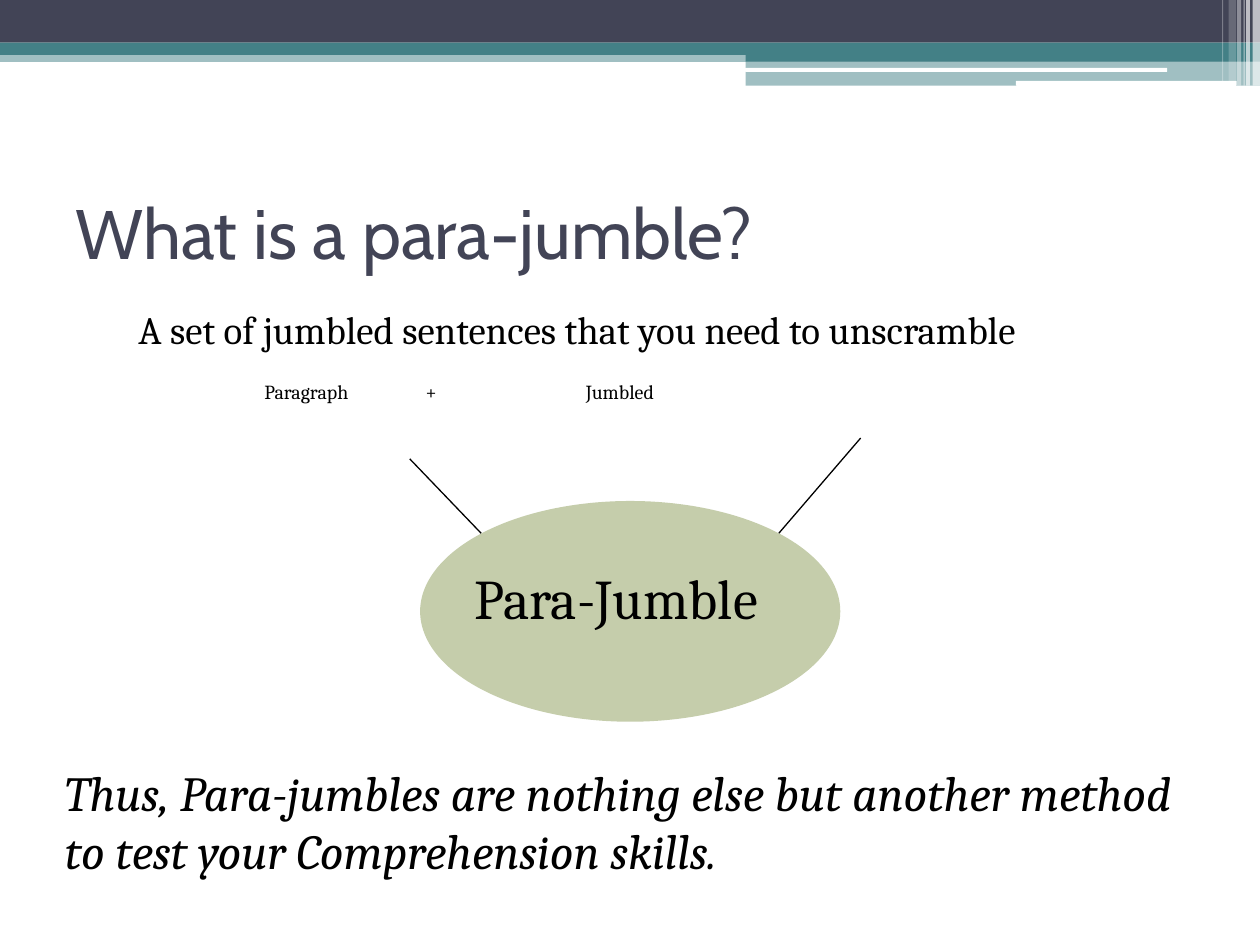
from typing import NamedTuple

from lxml import etree
from pptx import Presentation, util as u
from pptx.dml.color import RGBColor
from pptx.enum import shapes, text
from pptx.oxml import ns

NAVY, TEAL, WHITE, BLACK, SAGE = "424456", "438086", "FFFFFF", "000000", "C5CDAB"
RECTANGLE = shapes.MSO_SHAPE.RECTANGLE
ROUNDED = shapes.MSO_SHAPE.ROUNDED_RECTANGLE
OVAL = shapes.MSO_SHAPE.OVAL


class Block(NamedTuple):
    """A filled shape; lengths in centimetres, opacity in percent."""
    left: float
    top: float
    width: float
    height: float
    fill: str
    opacity: int = 100
    kind: shapes.MSO_SHAPE = RECTANGLE


class Stripe(NamedTuple):
    """A pale vertical stripe hanging from the top edge."""
    left: float
    width: float
    height: float
    opacity: int


class Spoke(NamedTuple):
    """A straight line from a word to the ellipse."""
    start_x: float
    start_y: float
    end_x: float
    end_y: float


HEADER = [
    Block(0, 1.02, 25.4, 0.23, TEAL, 50),
    Block(0, 0, 25.4, 0.86, NAVY),
    Block(0, 0.86, 25.4, 0.25, TEAL),
    Block(15.03, 0.99, 10.37, 0.25, TEAL),
    Block(15.03, 1.23, 10.37, 0.5, TEAL, 50),
    Block(15.02, 1.37, 8.51, 0.08, WHITE, kind=ROUNDED),
    Block(20.48, 1.63, 4.45, 0.1, WHITE, kind=ROUNDED),
]
STRIPES = [
    Stripe(25.25, 0.15, 1.73, 65),
    Stripe(25.12, 0.08, 1.73, 65),
    Stripe(25.07, 0.02, 1.73, 60),
    Stripe(24.94, 0.08, 1.73, 40),
    Stripe(24.77, 0.15, 1.63, 20),
    Stripe(24.64, 0.02, 1.63, 30),
]
ELLIPSE = Block(8.47, 10.1, 8.47, 4.45, SAGE, kind=OVAL)
SPOKES = [Spoke(8.26, 9.25, 9.7, 10.75), Spoke(17.35, 8.83, 15.7, 10.75)]


def color(hex_value: str) -> RGBColor:
    return RGBColor.from_string(hex_value)


def add_block(slide, block: Block) -> None:
    shape = slide.shapes.add_shape(
        block.kind, u.Cm(block.left), u.Cm(block.top), u.Cm(block.width), u.Cm(block.height))
    shape.shadow.inherit = False
    shape.line.fill.background()
    shape.fill.solid()
    shape.fill.fore_color.rgb = color(block.fill)
    if block.opacity < 100:
        fill_color = shape.fill._xPr.find(".//" + ns.qn("a:srgbClr"))
        etree.SubElement(fill_color, ns.qn("a:alpha"), val=str(block.opacity * 1000))


def add_spoke(slide, spoke: Spoke) -> None:
    line = slide.shapes.add_connector(
        shapes.MSO_CONNECTOR.STRAIGHT, *(u.Cm(length) for length in spoke))
    line.line.color.rgb = color(BLACK)
    line.line.width = u.Pt(0.75)
    etree.SubElement(line._element.spPr, ns.qn("a:effectLst"))


def add_text(slide, content: str, left: float, top: float, width: float, height: float, *,
             size: float, font: str = "Cambria", fill: str = BLACK, italic: bool = False,
             spacing: float = 1.0, anchor=text.MSO_ANCHOR.TOP,
             tab_stops: tuple[float, ...] = ()) -> None:
    box = slide.shapes.add_textbox(u.Cm(left), u.Cm(top), u.Cm(width), u.Cm(height))
    frame = box.text_frame
    frame.word_wrap = True
    frame.vertical_anchor = anchor
    paragraph = frame.paragraphs[0]
    paragraph.line_spacing = spacing
    if tab_stops:
        tab_list = etree.SubElement(paragraph._p.get_or_add_pPr(), ns.qn("a:tabLst"))
        for position in tab_stops:
            etree.SubElement(tab_list, ns.qn("a:tab"), pos=str(u.Cm(position)), algn="l")
    run = paragraph.add_run()
    run.text = content
    run.font.name = font
    run.font.size = u.Pt(size)
    run.font.italic = italic
    run.font.color.rgb = color(fill)


def main() -> None:
    presentation = Presentation()
    presentation.slide_width, presentation.slide_height = u.Cm(25.4), u.Cm(19.05)
    slide = presentation.slides.add_slide(presentation.slide_layouts[6])

    # Header bands and the stripes at their right end
    for block in HEADER:
        add_block(slide, block)
    for stripe in STRIPES:
        add_block(slide, Block(stripe.left, 0, stripe.width, stripe.height, WHITE, stripe.opacity))

    # Title and definition
    add_text(slide, "What is a para-jumble?", 1.27, 3.18, 22.86, 2.97,
             size=40, font="Cabin", fill=NAVY, anchor=text.MSO_ANCHOR.MIDDLE)
    add_text(slide, "A set of jumbled sentences that you need to unscramble",
             2.54, 6.15, 21.59, 1.3, size=22.2, spacing=0.9)

    # Two words joined into one
    add_block(slide, ELLIPSE)
    add_text(slide, "Paragraph\t+\tJumbled", 5.08, 7.62, 14.81, 1.3,
             size=11.4, spacing=0.8, tab_stops=(3.25, 6.48))
    add_text(slide, "Para-Jumble", 9.32, 11.23, 7.62, 1.63, size=32)
    for spoke in SPOKES:
        add_spoke(slide, spoke)

    # Conclusion
    add_text(slide, "Thus, Para-jumbles are nothing else but another method "
             "to test your Comprehension skills.",
             1.06, 15.24, 22.86, 2.64, size=28, italic=True)

    presentation.save("out.pptx")


if __name__ == "__main__":
    main()
